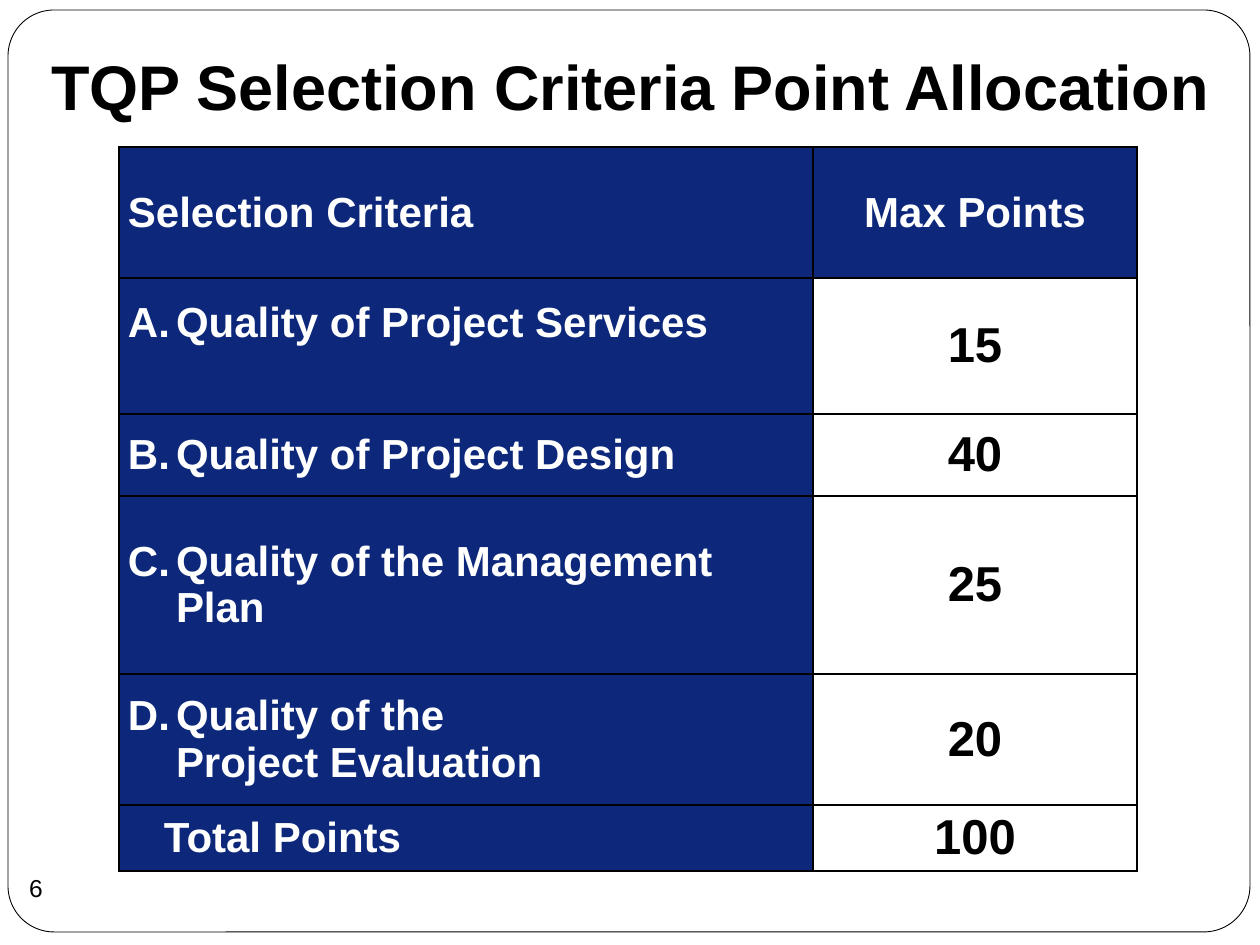
from pptx import Presentation
from pptx.dml.color import RGBColor
from pptx.enum import shapes, text
from pptx.oxml import parse_xml
from pptx.oxml.ns import nsdecls
from pptx.util import Pt

TITLE = "TQP Selection Criteria Point Allocation"
HEADER = ("Selection Criteria", "Max Points")
CRITERIA = [
    ("Quality of Project Services", "15"),
    ("Quality of Project Design", "40"),
    ("Quality of the Management Plan", "25"),
    ("Quality of the \nProject Evaluation", "20"),
]
TOTAL = ("Total Points", "100")
PAGE = "6"

COLUMN_WIDTHS = (694, 324)
ROW_HEIGHTS = (131, 136, 82, 178, 131, 66)
BOTTOM_MARGINS = {1: 46}  # lifts the first criterion above the middle of its row

BLACK = RGBColor(0x00, 0x00, 0x00)
WHITE = RGBColor(0xFF, 0xFF, 0xFF)
NAVY = RGBColor(0x0D, 0x28, 0x7B)
FONT = "Arial"
LETTER_INDENT = 48
TOTAL_INDENT = 36


def px(n):
    return n * 914400 // 126


def place(shape, left, top, width, height):
    shape.left, shape.top = px(left), px(top)
    shape.width, shape.height = px(width), px(height)


def set_margins(target, left, top, right, bottom):
    target.margin_left, target.margin_top = px(left), px(top)
    target.margin_right, target.margin_bottom = px(right), px(bottom)


def write(paragraph, words, size, color, bold=True):
    for i, line in enumerate(words.split("\n")):
        if i:
            paragraph.add_line_break()
        run = paragraph.add_run()
        run.text = line
        run.font.name, run.font.size, run.font.bold = FONT, Pt(size), bold
        run.font.color.rgb = color


def add_oval_or_frame(slide, kind, box):
    shape = slide.shapes.add_shape(kind, *map(px, box))
    shape.shadow.inherit = False
    return shape


def add_letter(paragraph, start):
    """Number the paragraph A., B., C. ... with a hanging indent."""
    props = paragraph._p.get_or_add_pPr()
    props.set("marL", str(px(LETTER_INDENT)))
    props.set("indent", str(-px(LETTER_INDENT)))
    props.append(parse_xml(
        f'<a:buFont {nsdecls("a")} typeface="+mj-lt"/>'))
    props.append(parse_xml(
        f'<a:buAutoNum {nsdecls("a")} type="alphaUcPeriod" startAt="{start}"/>'))


def add_borders(cell):
    props = cell._tc.get_or_add_tcPr()
    for side in ("lnL", "lnR", "lnT", "lnB"):
        props.append(parse_xml(
            f'<a:{side} {nsdecls("a")} w="{Pt(1)}"><a:solidFill>'
            f'<a:srgbClr val="{BLACK}"/></a:solidFill></a:{side}>'))


def add_points_table(slide):
    rows = [HEADER, *CRITERIA, TOTAL]
    table = slide.shapes.add_table(
        len(rows), len(COLUMN_WIDTHS), px(119), px(147),
        px(sum(COLUMN_WIDTHS)), px(sum(ROW_HEIGHTS))).table
    table.first_row = table.horz_banding = False
    for column, width in zip(table.columns, COLUMN_WIDTHS):
        column.width = px(width)
    for r, (row, height) in enumerate(zip(rows, ROW_HEIGHTS)):
        table.rows[r].height = px(height)
        for c, words in enumerate(row):
            is_points = r > 0 and c == 1
            is_criterion = c == 0 and 1 <= r <= len(CRITERIA)
            cell = table.cell(r, c)
            add_borders(cell)
            if is_points:
                cell.fill.background()
            else:
                cell.fill.solid()
                cell.fill.fore_color.rgb = NAVY
            bottom = BOTTOM_MARGINS.get(r, 0) if c == 0 else 0
            set_margins(cell, 9, 0, 9, bottom)
            cell.vertical_anchor = text.MSO_ANCHOR.MIDDLE
            paragraph = cell.text_frame.paragraphs[0]
            if is_criterion:
                add_letter(paragraph, r)
            else:
                paragraph.space_after = Pt(6)
            if c == 1:
                paragraph.alignment = text.PP_ALIGN.CENTER
            elif row is TOTAL:
                paragraph._p.get_or_add_pPr().set("marL", str(px(TOTAL_INDENT)))
            write(paragraph, words, 28 if is_points else 24,
                  BLACK if is_points else WHITE)


def main():
    prs = Presentation()
    prs.slide_width, prs.slide_height = px(1260), px(945)
    slide = prs.slides.add_slide(prs.slide_layouts[5])

    title = slide.shapes.title
    place(title, 32, 10, 1197, 158)
    frame = title.text_frame
    frame.word_wrap = True
    frame.auto_size = text.MSO_AUTO_SIZE.NONE
    frame.vertical_anchor = text.MSO_ANCHOR.MIDDLE
    set_margins(frame, 13, 6, 13, 13)
    frame.paragraphs[0].alignment = text.PP_ALIGN.CENTER
    write(frame.paragraphs[0], TITLE, 36, BLACK)

    border = add_oval_or_frame(
        slide, shapes.MSO_SHAPE.ROUNDED_RECTANGLE, (8, 10, 1242, 922))
    border.adjustments[0] = 0.05
    border.fill.solid()
    border.fill.fore_color.rgb = WHITE
    border.line.color.rgb = BLACK
    border.line.width = Pt(0.5)
    title.element.addprevious(border.element)

    add_points_table(slide)

    page = add_oval_or_frame(slide, shapes.MSO_SHAPE.OVAL, (20, 856, 63, 63))
    page.fill.background()
    page.line.fill.background()
    set_margins(page.text_frame, 0, 6, 0, 6)
    page.text_frame.vertical_anchor = text.MSO_ANCHOR.MIDDLE
    page.text_frame.paragraphs[0].alignment = text.PP_ALIGN.LEFT
    write(page.text_frame.paragraphs[0], PAGE, 14, BLACK, bold=False)

    prs.save("out.pptx")


if __name__ == "__main__":
    main()
